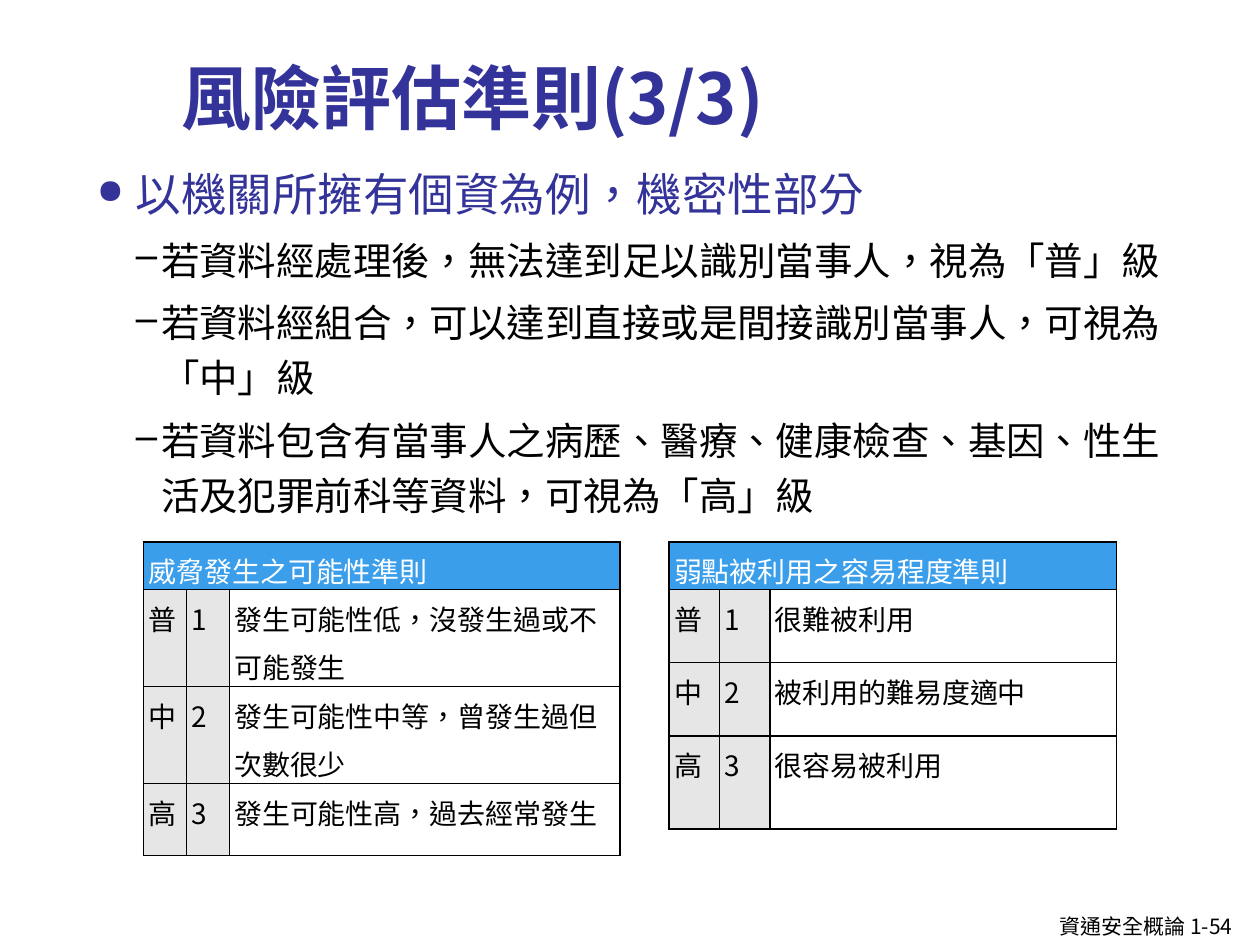
from lxml import etree
from pptx import Presentation
from pptx.dml.color import RGBColor
from pptx.enum.text import MSO_ANCHOR, MSO_AUTO_SIZE, PP_ALIGN
from pptx.oxml.ns import qn
from pptx.util import Inches, Pt

LEFT = PP_ALIGN.LEFT
BOTTOM = MSO_ANCHOR.BOTTOM
NO_FIT = MSO_AUTO_SIZE.NONE

SC, TC = "Noto Sans CJK SC", "Noto Sans CJK TC"
NAVY, BLACK, WHITE = "333399", "000000", "FFFFFF"
BLUE, GRAY = "3A9EEB", "E6E6E6"

BULLETS = [
    (0, "以機關所擁有個資為例，機密性部分"),
    (1, "若資料經處理後，無法達到足以識別當事人，視為「普」級"),
    (1, "若資料經組合，可以達到直接或是間接識別當事人，可視為「中」級"),
    (1, "若資料包含有當事人之病歷、醫療、健康檢查、基因、性生活及犯罪前科等資料，可視為「高」級"),
]
# Per level: bullet, bullet size in percent, left margin, hanging indent, size, colour
LEVELS = [("●", 75, 0.31, -0.31, 26, NAVY), ("–", 100, 0.51, -0.2, 22, BLACK)]
GRADES = ["普", "中", "高"]
THREATS = ["發生可能性低，沒發生過或不可能發生", "發生可能性中等，曾發生過但次數很少",
           "發生可能性高，過去經常發生"]
WEAKNESSES = ["很難被利用", "被利用的難易度適中", "很容易被利用"]


def rgb(value):
    return RGBColor.from_string(value)


def add_run(p, text, size, color, font=SC, bold=False):
    r = p.add_run()
    r.text = text
    r.font.size = Pt(size)
    r.font.bold = bold
    r.font.name = font
    r.font.color.rgb = rgb(color)
    # Traditional Chinese punctuation, East Asian typeface as the Latin one
    rPr = r.font._element
    rPr.set("lang", "zh-TW")
    ea = etree.Element(qn("a:ea"), typeface=font)
    rPr.find(qn("a:latin")).addnext(ea)


def add_box(s, x, y, w, h, wrap=True):
    tf = s.shapes.add_textbox(Inches(x), Inches(y), Inches(w), Inches(h)).text_frame
    tf.word_wrap = wrap
    return tf


def add_title(s, text):
    title = s.shapes.title
    title.left, title.top = Inches(1.34), Inches(0.13)
    title.width, title.height = Inches(8.16), Inches(1.02)
    tf = title.text_frame
    tf.vertical_anchor = BOTTOM
    tf.auto_size = NO_FIT
    p = tf.paragraphs[0]
    p.alignment = LEFT
    add_run(p, text, 40, NAVY, TC, True)


def add_bullets(s):
    tf = add_box(s, 0.67, 1.18, 8.83, 2.96)
    for i, (level, text) in enumerate(BULLETS):
        mark, percent, margin, indent, size, color = LEVELS[level]
        p = tf.paragraphs[0] if i == 0 else tf.add_paragraph()
        p.level = level
        p.line_spacing = 1.2
        p.space_before = Pt(2 if i else 0)
        p.space_after = Pt(2)
        pPr = p._p.get_or_add_pPr()
        pPr.set("marL", str(Inches(margin)))
        pPr.set("indent", str(Inches(indent)))
        etree.SubElement(pPr, qn("a:buSzPct"), val=str(percent * 1000))
        etree.SubElement(pPr, qn("a:buChar"), char=mark)
        add_run(p, text, size, color)


def add_borders(cell):
    tcPr = cell._tc.get_or_add_tcPr()
    for side in ("lnL", "lnR", "lnT", "lnB"):
        ln = etree.SubElement(tcPr, qn("a:" + side), w=str(Pt(1)))
        fill = etree.SubElement(ln, qn("a:solidFill"))
        etree.SubElement(fill, qn("a:srgbClr"), val=BLACK)


def format_cell(cell, text, fill, color):
    add_borders(cell)
    if fill:
        cell.fill.solid()
        cell.fill.fore_color.rgb = rgb(fill)
    else:
        cell.fill.background()
    cell.margin_left = cell.margin_right = Inches(0.04)
    cell.margin_top = cell.margin_bottom = 0
    if text:
        p = cell.text_frame.paragraphs[0]
        p.line_spacing = 1.2
        add_run(p, text, 16, color)


def add_criteria(s, x, cols, rows, heading, descriptions):
    tbl = s.shapes.add_table(len(rows), len(cols), Inches(x), Inches(4.3),
                             Inches(sum(cols)), Inches(sum(rows))).table
    for column, width in zip(tbl.columns, cols):
        column.width = Inches(width)
    for row, height in zip(tbl.rows, rows):
        row.height = Inches(height)
    # Heading across all columns
    tbl.cell(0, 0).merge(tbl.cell(0, 2))
    for c, text in enumerate((heading, "", "")):
        format_cell(tbl.cell(0, c), text, BLUE, WHITE)
    # Grade, score and description
    for i, (grade, description) in enumerate(zip(GRADES, descriptions), 1):
        for c, text in enumerate((grade, str(i), description)):
            format_cell(tbl.cell(i, c), text, GRAY if c < 2 else None, BLACK)


def main():
    prs = Presentation()
    prs.slide_width, prs.slide_height = Inches(10), Inches(7.5)
    s = prs.slides.add_slide(prs.slide_layouts[5])
    add_title(s, "風險評估準則(3/3)")
    add_bullets(s)
    add_criteria(s, 1.14, [0.34, 0.34, 3.1], [0.38, 0.77, 0.77, 0.57],
                 "威脅發生之可能性準則", THREATS)
    add_criteria(s, 5.31, [0.4, 0.4, 2.75], [0.38, 0.58, 0.58, 0.74],
                 "弱點被利用之容易程度準則", WEAKNESSES)
    # Footer
    tf = add_box(s, 8.31, 7.2, 1.69, 0.3, wrap=False)
    add_run(tf.paragraphs[0], "資通安全概論 1-54", 12, BLACK)
    prs.save("out.pptx")


if __name__ == "__main__":
    main()
